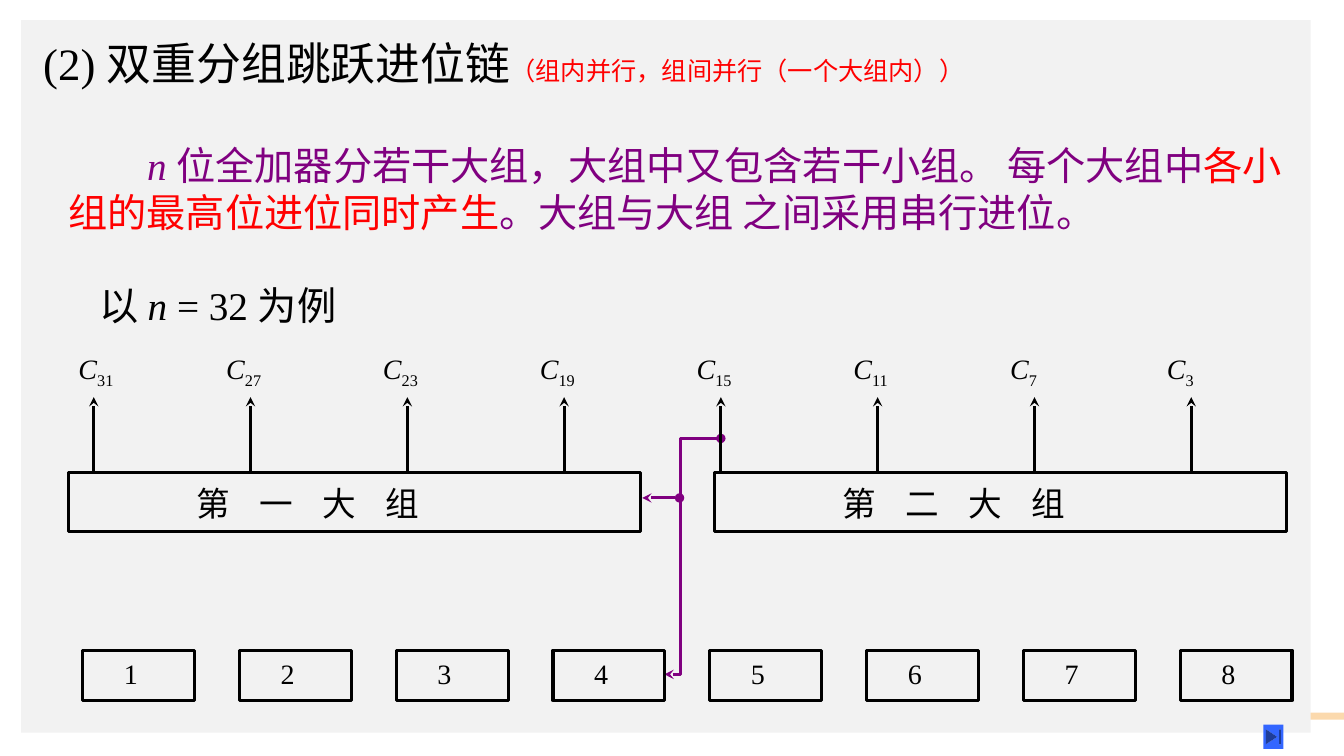
from dataclasses import dataclass

from lxml.etree import SubElement
from pptx import Presentation
from pptx.dml.color import RGBColor
from pptx.enum.shapes import MSO_CONNECTOR, MSO_SHAPE
from pptx.enum.text import MSO_ANCHOR, MSO_AUTO_SIZE
from pptx.oxml.ns import qn
from pptx.util import Inches, Pt


@dataclass(frozen=True)
class Theme:
    black: str = "000000"
    red: str = "FF0000"
    purple: str = "800080"
    panel: str = "F2F2F2"
    stripe: str = "FBD9AD"
    button: str = "3366FF"
    serif: str = "Times New Roman"
    sans: str = "Arial"
    title: int = 32
    body: int = 28
    group: int = 24
    label: int = 20
    note: int = 18
    stroke: float = 2.25


THEME = Theme()


@dataclass(frozen=True)
class Piece:
    text: str
    size: int
    color: str = THEME.black
    font: str = THEME.serif
    tilt: bool = False
    base: int = 0
    space: int = 0


@dataclass(frozen=True)
class Block:
    left: float
    top: float
    width: float
    height: float
    pieces: tuple
    inset: float = 0
    indent: float = 0
    fit: bool = False


@dataclass(frozen=True)
class Group:
    left: float
    name: str


@dataclass(frozen=True)
class Stage:
    carry: int
    shift: float = 0


STEP = 1.555
STAGES = [Stage(31, 0.09)] + [Stage(carry) for carry in range(27, 0, -4)]
GROUPS = [Group(0.68, "第 一 大 组"), Group(7.09, "第 二 大 组")]
BLOCKS = [
    Block(0.33, 0.25, 12.42, 0.75, (
        Piece("(2) 双重分组跳跃进位链", THEME.title),
        Piece("（组内并行，组间并行（一个大组内））", THEME.note, THEME.red, THEME.sans),
    ), inset=0.1),
    Block(0.68, 0.91, 12.07, 1.92, (
        Piece("n ", THEME.body, THEME.purple, tilt=True),
        Piece("位全加器分若干大组，大组中又包含若干小组。 每个大组中", THEME.body, THEME.purple),
        Piece("各小组的最高位进位同时产生", THEME.body, THEME.red),
        Piece("。大组与大组 之间采用串行进位。", THEME.body, THEME.purple),
    ), indent=0.78),
    Block(0.99, 2.83, 3.67, 0.39, (
        Piece("以 ", THEME.body),
        Piece("n", THEME.body, tilt=True),
        Piece(" = 32 为例", THEME.body),
    )),
]


def apply(target, values: dict) -> None:
    for name, value in values.items():
        setattr(target, name, value)


def stroke(line, color: str, head: str = "", tail: str = "") -> None:
    line.color.rgb = RGBColor.from_string(color)
    line.width = Pt(THEME.stroke)
    for tag, kind in (("a:headEnd", head), ("a:tailEnd", tail)):
        if kind:
            SubElement(line._get_or_add_ln(), qn(tag)).set("type", kind)


def box(slide, left: float, top: float, width: float, height: float,
        fill: str = "", kind=MSO_SHAPE.RECTANGLE) -> None:
    shape = slide.shapes.add_shape(
        kind, Inches(left), Inches(top), Inches(width), Inches(height))
    shape.shadow.inherit = False
    if fill:
        shape.fill.solid()
        shape.fill.fore_color.rgb = RGBColor.from_string(fill)
        shape.line.fill.background()
    else:
        shape.fill.background()
        stroke(shape.line, THEME.black)


def write(slide, block: Block) -> None:
    frame = slide.shapes.add_textbox(
        Inches(block.left), Inches(block.top),
        Inches(block.width), Inches(block.height)).text_frame
    if block.fit:
        apply(frame, {"word_wrap": False,
                      "auto_size": MSO_AUTO_SIZE.SHAPE_TO_FIT_TEXT})
    else:
        apply(frame, {
            "word_wrap": True,
            "vertical_anchor": MSO_ANCHOR.MIDDLE,
            "margin_left": Inches(block.inset),
            "margin_right": Inches(block.inset),
            "margin_top": Inches(block.inset / 2),
            "margin_bottom": Inches(block.inset / 2),
        })
    para = frame.paragraphs[0]
    if block.indent:
        para._p.get_or_add_pPr().set("indent", str(Inches(block.indent)))
    for piece in block.pieces:
        run = para.add_run()
        run.text = piece.text
        apply(run.font, {"size": Pt(piece.size), "name": piece.font,
                         "italic": piece.tilt})
        run.font.color.rgb = RGBColor.from_string(piece.color)
        for key, value in (("baseline", piece.base), ("spc", piece.space)):
            if value:
                run._r.get_or_add_rPr().set(key, str(value))


def link(slide, start: tuple, end: tuple, color: str,
         head: str = "", tail: str = "") -> None:
    line = slide.shapes.add_connector(
        MSO_CONNECTOR.STRAIGHT, *map(Inches, start + end))
    stroke(line.line, color, head, tail)
    SubElement(line._element.spPr, qn("a:effectLst"))


def route(slide, points: list, color: str, head: str, tail: str) -> None:
    first, *rest = [tuple(map(Inches, point)) for point in points]
    maker = slide.shapes.build_freeform(*first)
    maker.add_line_segments(rest, close=False)
    shape = maker.convert_to_shape()
    shape.shadow.inherit = False
    shape.fill.background()
    stroke(shape.line, color, head, tail)


def main() -> None:
    deck = Presentation()
    apply(deck, {"slide_width": Inches(13.33), "slide_height": Inches(7.5)})
    slide = deck.slides.add_slide(deck.slide_layouts[6])
    box(slide, 10.54, 7.07, 2.79, 0.07, THEME.stripe)
    box(slide, 0.21, 0.2, 12.79, 7.07, THEME.panel)
    for block in BLOCKS:
        write(slide, block)
    for group in GROUPS:
        box(slide, group.left, 4.69, 5.67, 0.58)
        name = Piece(group.name, THEME.group, space=785)
        write(slide, Block(group.left + 1.17, 4.74, 2.56, 0.51, (name,), fit=True))
    link(slide, (6.37, 4.94), (6.74, 4.94), THEME.purple, "stealth", "oval")
    route(slide, [(6.59, 6.69), (6.75, 6.69), (6.75, 4.35), (7.15, 4.35)],
          THEME.purple, "stealth", "oval")
    for rank, stage in enumerate(STAGES):
        move = rank * STEP
        box(slide, 0.82 + move, 6.45, 1.11, 0.5)
        digit = Piece(str(rank + 1), THEME.label)
        write(slide, Block(1.13 + move, 6.46, 0.34, 0.44, (digit,), fit=True))
        link(slide, (0.93 + move, 4.69), (0.93 + move, 3.94),
             THEME.black, tail="stealth")
        carry = (Piece("C", THEME.label, tilt=True),
                 Piece(str(stage.carry), THEME.label, base=-25000))
        width = 0.58 if stage.carry > 9 else 0.48
        write(slide, Block(0.59 + move + stage.shift, 3.44, width, 0.44,
                           carry, fit=True))
    box(slide, 12.53, 7.19, 0.2, 0.24, THEME.button, MSO_SHAPE.ACTION_BUTTON_END)
    deck.save("out.pptx")


if __name__ == "__main__":
    main()
